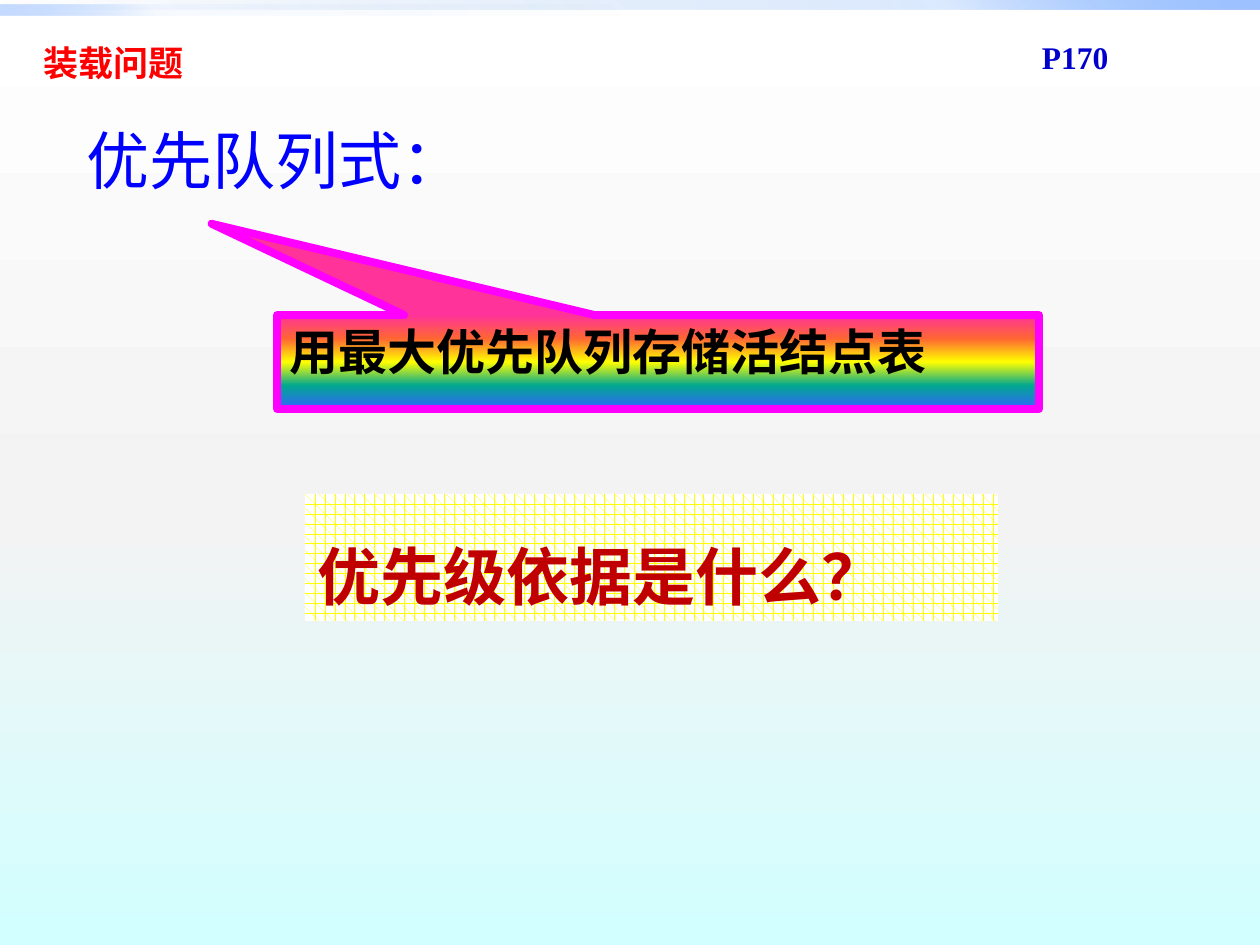
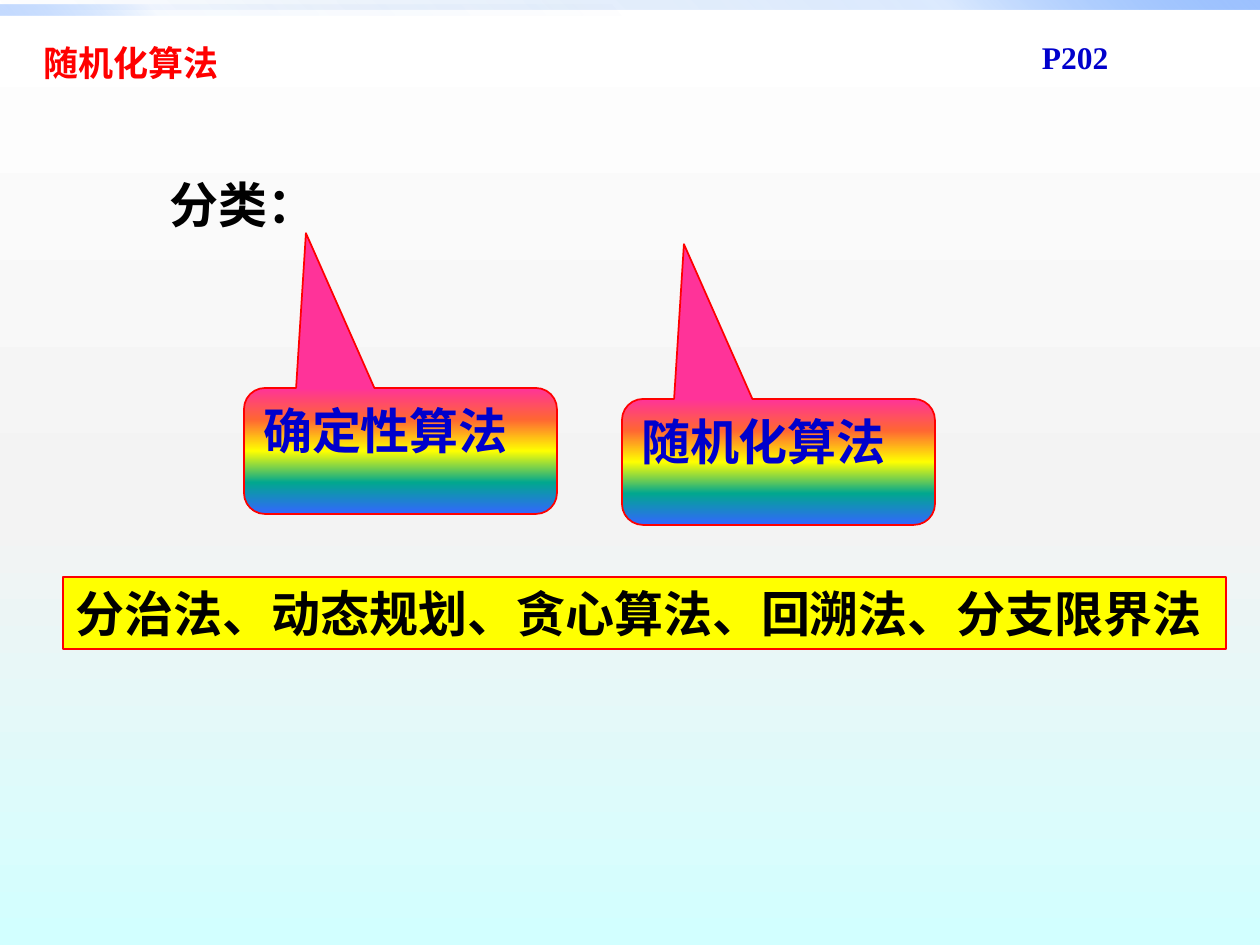
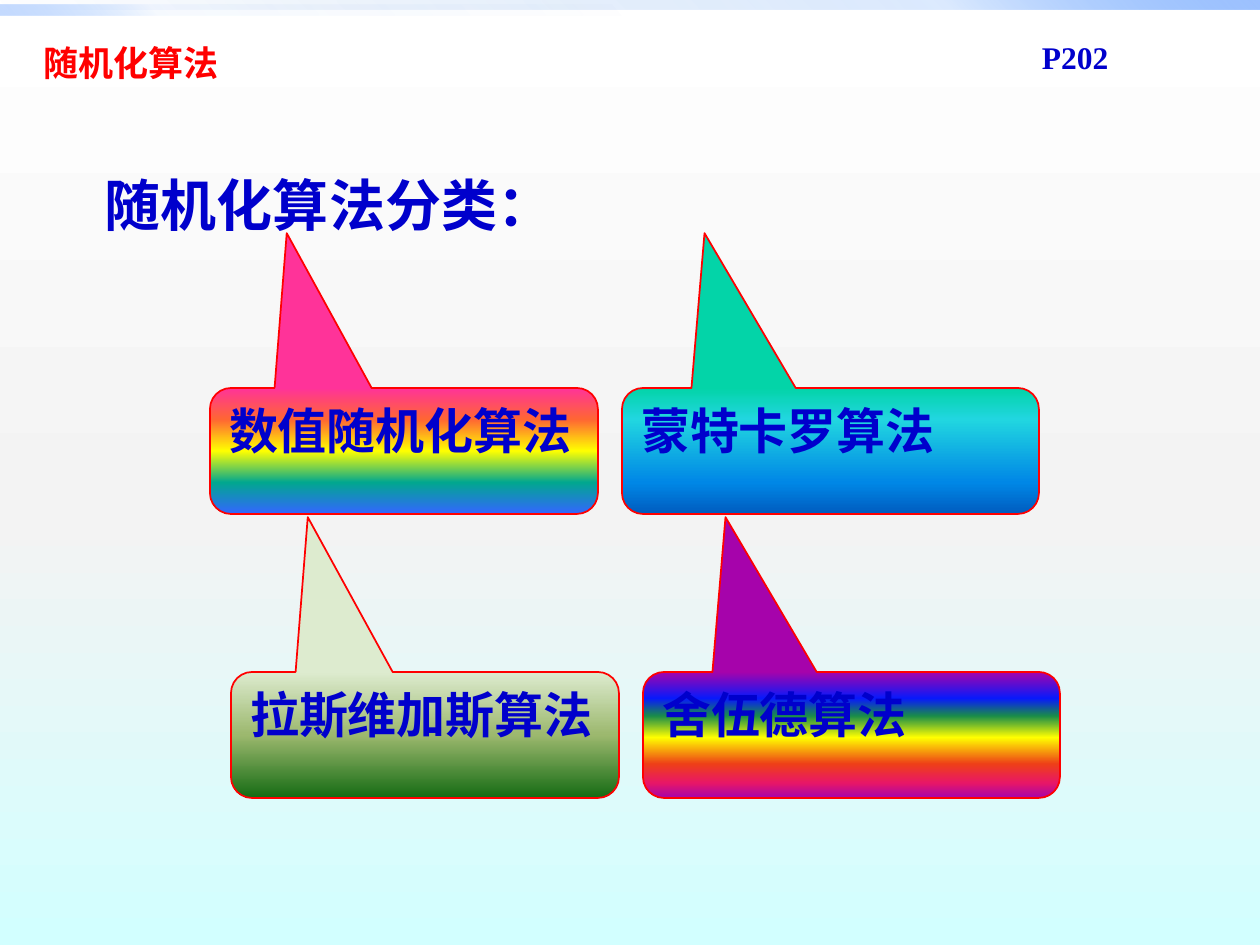
from dataclasses import dataclass

from lxml.etree import SubElement
from pptx import Presentation
from pptx.dml.color import RGBColor
from pptx.enum.dml import MSO_PATTERN
from pptx.enum.shapes import MSO_SHAPE
from pptx.enum.text import MSO_ANCHOR, MSO_AUTO_SIZE, PP_ALIGN
from pptx.oxml.ns import qn
from pptx.util import Emu, Pt

PX = 914400 / 126
TITLE_ONLY = 5


@dataclass(frozen=True)
class Theme:
    """Colours, gradients, fonts and type sizes of the deck."""

    red: str = "FF0000"
    dark_red: str = "C00000"
    navy: str = "0000CC"
    blue: str = "0000FF"
    black: str = "000000"
    white: str = "FFFFFF"
    yellow: str = "FFFF00"
    magenta: str = "FF00FF"
    latin: str = "Arial"
    serif: str = "Times New Roman"
    chinese: str = "Noto Sans CJK SC"
    page_size: int = 18
    title_size: int = 20
    body_size: int = 28
    heading_size: int = 32
    large_size: int = 36
    backdrop: tuple = ((0, "FFFFFF"), (55, "F3F3F3"), (100, "D2FFFF"))
    wide_band: tuple = ((0, "0058B7", 0), (75, "4F95FF", 20), (100, "9EC2FF"))
    half_band: tuple = ((0, "0058B7", 0), (75, "4F95FF", 5), (100, "9EC2FF", 60))
    rainbow: tuple = ((0, "FF3399"), (25, "FF6633"), (50, "FFFF00"),
                      (75, "01A78F"), (100, "3366FF"))
    ocean: tuple = ((0, "03D4A8"), (25, "21D6E0"), (75, "0087E6"), (100, "005CBF"))
    moss: tuple = ((0, "DDEBCF"), (50, "9CB86E"), (100, "156B13"))
    spectrum: tuple = ((0, "A603AB"), (21, "0819FB"), (35, "1A8D48"), (52, "FFFF00"),
                       (73, "EE3F17"), (88, "E81766"), (100, "A603AB"))


THEME = Theme()


def px(*lengths):
    """Turn px lengths into EMU."""
    return [Emu(round(length * PX)) for length in lengths]


def set_gradient(fill, owner, stops, angle=90):
    """Give a fill inside the owner element a linear gradient."""
    fill.gradient()
    gradient = next(owner.iter(qn("a:gradFill")))
    stop_list = gradient.find(qn("a:gsLst"))
    for stop in list(stop_list):
        stop_list.remove(stop)
    for position, color, *alpha in stops:
        stop = SubElement(stop_list, qn("a:gs"), pos=str(position * 1000))
        value = SubElement(stop, qn("a:srgbClr"), val=color)
        for percent in alpha:
            SubElement(value, qn("a:alpha"), val=str(percent * 1000))
    gradient.find(qn("a:lin")).set("ang", str(angle * 60000))


def write(shape, text, size, color, font=THEME.chinese, bold=True, spacing=None):
    """Write one left-aligned paragraph at the top of a shape."""
    frame = shape.text_frame
    frame.word_wrap = True
    frame.auto_size = MSO_AUTO_SIZE.NONE
    frame.vertical_anchor = MSO_ANCHOR.TOP
    frame.margin_left, frame.margin_top, frame.margin_bottom = px(13, 6, 6)
    frame.margin_right = 0
    para = frame.paragraphs[0]
    para.alignment = PP_ALIGN.LEFT
    para.line_spacing = spacing
    span = para.add_run()
    span.text = text
    span.font.name = font
    span.font.size = Pt(size)
    span.font.bold = bold
    span.font.color.rgb = RGBColor.from_string(color)
    SubElement(span.font._element, qn("a:ea"), typeface=THEME.chinese)


def add_label(page, box, text, size, color, **style):
    """Add a plain text box."""
    write(page.shapes.add_textbox(*px(*box)), text, size, color, **style)


def add_panel(page, kind, box, line=None, weight=1):
    """Add a preset shape without shadow, outlined if a line colour is given."""
    panel = page.shapes.add_shape(kind, *px(*box))
    panel.shadow.inherit = False
    if line:
        panel.line.color.rgb = RGBColor.from_string(line)
        panel.line.width = Pt(weight)
    else:
        panel.line.fill.background()
    return panel


def add_callout(page, box, text, stops=THEME.rainbow):
    """Add a rounded callout for one class of algorithm."""
    callout = add_panel(page, MSO_SHAPE.ROUNDED_RECTANGULAR_CALLOUT, box, THEME.red)
    for index, value in enumerate((-0.302, -1.729, 0.167)):
        callout.adjustments[index] = value
    set_gradient(callout.fill, callout.element.spPr, stops)
    write(callout, text, THEME.body_size, THEME.navy)


def add_page(deck, title, title_width, reference):
    """Add a slide with its title and textbook page reference."""
    page = deck.slides.add_slide(deck.slide_layouts[TITLE_ONLY])
    heading = page.shapes.title
    heading.left, heading.top, heading.width, heading.height = px(30, 35, title_width, 55)
    write(heading, title, THEME.title_size, THEME.red, font=THEME.latin)
    add_label(page, (1029, 32, 92, 50), reference, THEME.page_size, THEME.navy,
              font=THEME.serif)
    return page


def style_master(deck, page):
    """Put the backdrop and the top bands on the slide master."""
    master = deck.slide_master
    set_gradient(master.background.fill, master.element, THEME.backdrop)
    bands = (((0, 0, 1260, 10), THEME.wide_band, 315),
             ((0, 5, 630, 10), THEME.half_band, 135))
    for number, (box, stops, angle) in enumerate(bands, start=101):
        band = add_panel(page, MSO_SHAPE.RECTANGLE, box)
        set_gradient(band.fill, band.element.spPr, stops, angle)
        band.element.nvSpPr.cNvPr.set("id", str(number))
        master.shapes.element.append(band.element)


def fill_loading_page(page):
    """Show the priority queue and the question about priority."""
    add_label(page, (73, 116, 407, 89), "优先队列式：", THEME.large_size, THEME.blue,
              bold=False)
    queue = add_panel(page, MSO_SHAPE.RECTANGULAR_CALLOUT, (277, 315, 762, 94),
                      THEME.magenta, 4.5)
    queue.adjustments[0], queue.adjustments[1] = -0.586, -1.471
    set_gradient(queue.fill, queue.element.spPr, THEME.rainbow)
    write(queue, "用最大优先队列存储活结点表", THEME.body_size, THEME.black,
          font=THEME.latin)
    question = add_panel(page, MSO_SHAPE.RECTANGLE, (305, 494, 693, 127))
    question.fill.patterned()
    question.fill.pattern = MSO_PATTERN.PLAID
    question.fill.fore_color.rgb = RGBColor.from_string(THEME.yellow)
    question.fill.back_color.rgb = RGBColor.from_string(THEME.white)
    write(question, "优先级依据是什么？", THEME.large_size, THEME.dark_red, spacing=1.5)


def fill_classes_page(page):
    """Show the two classes and the list of deterministic methods."""
    add_label(page, (157, 168, 174, 72), "分类：", THEME.body_size, THEME.black)
    add_callout(page, (244, 388, 313, 126), "确定性算法")
    add_callout(page, (622, 399, 313, 126), "随机化算法")
    methods = add_panel(page, MSO_SHAPE.RECTANGLE, (63, 577, 1163, 72), THEME.red, 1.5)
    methods.fill.solid()
    methods.fill.fore_color.rgb = RGBColor.from_string(THEME.yellow)
    write(methods, "分治法、动态规划、贪心算法、回溯法、分支限界法",
          THEME.body_size, THEME.black)


def fill_randomized_page(page):
    """Show the four kinds of randomized algorithm in a staggered grid."""
    add_label(page, (92, 165, 478, 81), "随机化算法分类：", THEME.heading_size,
              THEME.navy, font=THEME.latin)
    kinds = (("数值随机化算法", THEME.rainbow), ("蒙特卡罗算法", THEME.ocean),
             ("拉斯维加斯算法", THEME.moss), ("舍伍德算法", THEME.spectrum))
    columns = ((210, 388), (622, 417))
    for index, (text, stops) in enumerate(kinds):
        row, column = divmod(index, 2)
        left, width = columns[column]
        add_callout(page, (left + 21 * row, 388 + 284 * row, width, 126), text, stops)


def main():
    """Build the deck and save it."""
    deck = Presentation()
    deck.slide_width, deck.slide_height = px(1260, 945)
    loading = add_page(deck, "装载问题", 222, "P170")
    style_master(deck, loading)
    fill_loading_page(loading)
    fill_classes_page(add_page(deck, "随机化算法", 202, "P202"))
    fill_randomized_page(add_page(deck, "随机化算法", 202, "P202"))
    deck.save("out.pptx")


if __name__ == "__main__":
    main()
